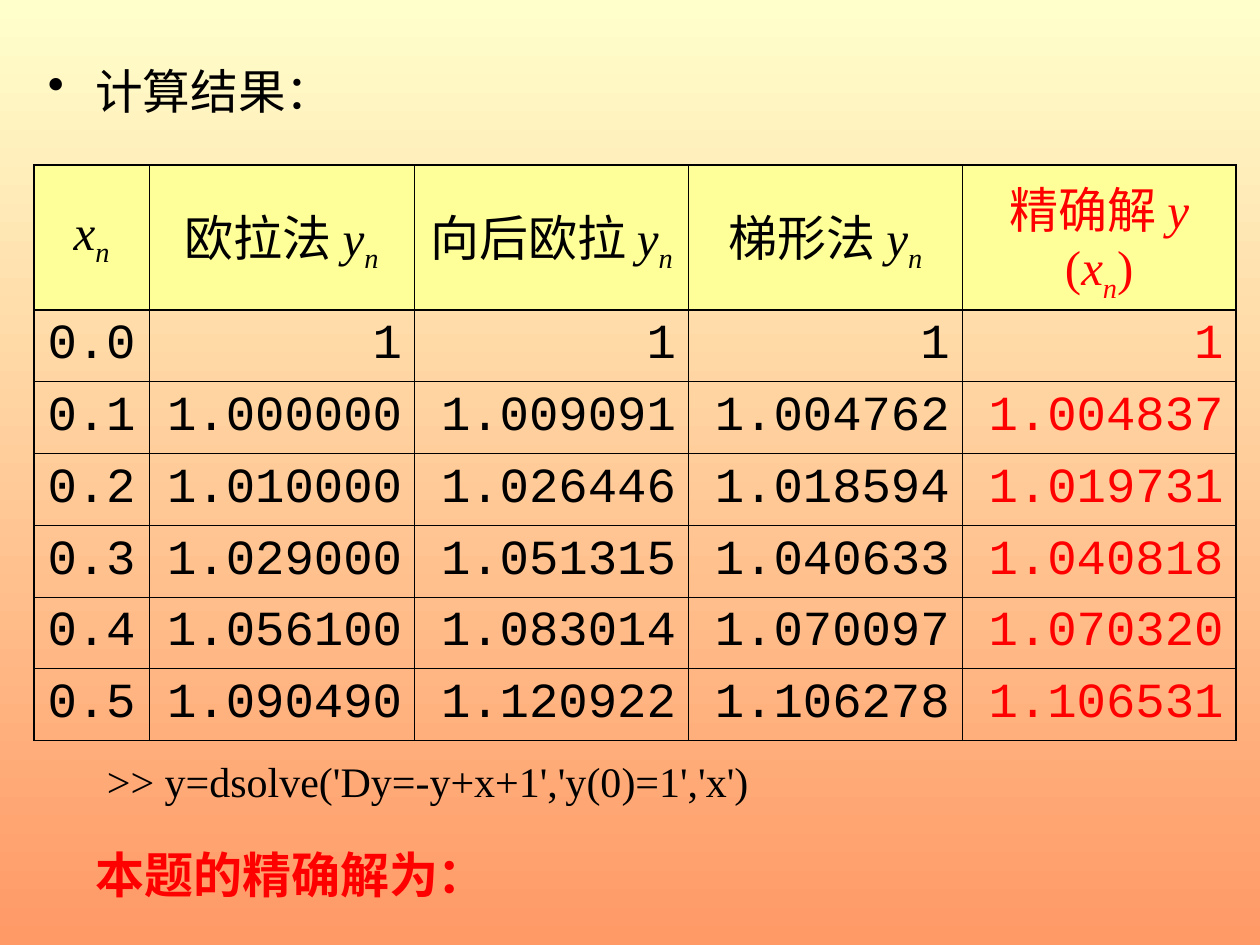
from dataclasses import dataclass

from lxml import etree
from pptx import Presentation
from pptx.dml.color import RGBColor
from pptx.enum.text import MSO_ANCHOR, PP_ALIGN
from pptx.oxml.ns import qn
from pptx.util import Pt

CENTER, RIGHT, LEFT = PP_ALIGN.CENTER, PP_ALIGN.RIGHT, PP_ALIGN.LEFT
MIDDLE = MSO_ANCHOR.MIDDLE


@dataclass(frozen=True)
class Theme:
    ink: str = "000000"
    accent: str = "FF0000"
    header_fill: str = "FFFF99"
    sky: str = "FFFFCC"
    ground: str = "FF9966"
    serif: str = "Times New Roman"
    mono: str = "Courier New"
    heading_size: float = 27.2
    body_size: float = 28
    command_size: float = 24
    thick: float = 1.08
    thin: float = 0.45


@dataclass(frozen=True)
class Span:
    text: str
    italic: bool = False
    subscript: bool = False


@dataclass(frozen=True)
class Caption:
    text: str
    left: float
    top: float
    width: float
    height: float
    size: float
    color: str
    bold: bool = False
    wrap: bool = True
    bullet: bool = False


THEME = Theme()
Y, X, N = Span("y", True), Span("x", True), Span("n", True, True)
HEADERS = [
    [X, N],
    [Span("欧拉法 "), Y, N],
    [Span("向后欧拉 "), Y, N],
    [Span("梯形法 "), Y, N],
    [Span("精确解 "), Span("y ", True), Span("("), X, N, Span(")")],
]
RESULTS = [
    ["0.0", "1", "1", "1", "1"],
    ["0.1", "1.000000", "1.009091", "1.004762", "1.004837"],
    ["0.2", "1.010000", "1.026446", "1.018594", "1.019731"],
    ["0.3", "1.029000", "1.051315", "1.040633", "1.040818"],
    ["0.4", "1.056100", "1.083014", "1.070097", "1.070320"],
    ["0.5", "1.090490", "1.120922", "1.106278", "1.106531"],
]
COLUMN_WIDTHS = [65.5, 151.9, 156.5, 156.5, 156.5]
HEADER_HEIGHT, RESULT_HEIGHT = 82.8, 41.04
TABLE_LEFT, TABLE_TOP = 19.6, 94.3
CAPTIONS = [
    Caption("计算结果：", 20.2, 31.7, 680.4, 42.5, THEME.heading_size, THEME.ink, bullet=True),
    Caption("本题的精确解为：", 47.5, 478.8, 237.6, 41, THEME.body_size, THEME.accent,
            bold=True, wrap=False),
    Caption(">> y=dsolve('Dy=-y+x+1','y(0)=1','x')", 54, 428.4, 391, 36,
            THEME.command_size, THEME.ink),
]


def add_span(paragraph, span: Span, face: str, size: float, color: str, bold: bool = False) -> None:
    run = paragraph.add_run()
    run.text = span.text
    font = run.font
    font.name, font.size = face, Pt(size)
    font.bold, font.italic = bold, span.italic
    font.color.rgb = RGBColor.from_string(color)
    if span.subscript:
        run._r.get_or_add_rPr().set("baseline", "-25000")


def add_bullet(paragraph) -> None:
    properties = paragraph._p.get_or_add_pPr()
    properties.set("marL", str(Pt(27)))
    properties.set("indent", str(-Pt(27)))
    etree.SubElement(properties, qn("a:buChar"), char="•")


def add_caption(slide, caption: Caption) -> None:
    box = slide.shapes.add_textbox(Pt(caption.left), Pt(caption.top),
                                   Pt(caption.width), Pt(caption.height))
    box.text_frame.word_wrap = caption.wrap
    paragraph = box.text_frame.paragraphs[0]
    paragraph.alignment = LEFT
    if caption.bullet:
        add_bullet(paragraph)
    add_span(paragraph, Span(caption.text), THEME.serif, caption.size, caption.color, caption.bold)


def set_borders(cell, widths: dict[str, float]) -> None:
    properties = cell._tc.get_or_add_tcPr()
    for edge, width in widths.items():
        line = etree.SubElement(properties, qn(f"a:{edge}"), w=str(Pt(width)))
        fill = etree.SubElement(line, qn("a:solidFill"))
        etree.SubElement(fill, qn("a:srgbClr"), val=THEME.ink)


def fill_cell(cell, spans: list[Span], row: int, column: int) -> None:
    is_header = row == 0
    is_exact = column == len(HEADERS) - 1

    def weight(outer: bool) -> float:
        return THEME.thick if outer else THEME.thin

    set_borders(cell, {
        "lnL": weight(column == 0),
        "lnR": weight(is_exact),
        "lnT": weight(row <= 1),
        "lnB": weight(row in (0, len(RESULTS))),
    })
    if is_header:
        cell.fill.solid()
        cell.fill.fore_color.rgb = RGBColor.from_string(THEME.header_fill)
    else:
        cell.fill.background()
    cell.vertical_anchor = MIDDLE
    paragraph = cell.text_frame.paragraphs[0]
    paragraph.alignment = CENTER if is_header or column == 0 else RIGHT
    for span in spans:
        add_span(paragraph, span, THEME.serif if is_header else THEME.mono,
                 THEME.body_size, THEME.accent if is_exact else THEME.ink)


def add_results_table(slide) -> None:
    rows = [HEADERS] + [[[Span(value)] for value in result] for result in RESULTS]
    heights = [HEADER_HEIGHT] + [RESULT_HEIGHT] * len(RESULTS)
    table = slide.shapes.add_table(len(rows), len(HEADERS), Pt(TABLE_LEFT), Pt(TABLE_TOP),
                                   Pt(sum(COLUMN_WIDTHS)), Pt(sum(heights))).table
    table.first_row = table.horz_banding = False
    for column, width in zip(table.columns, COLUMN_WIDTHS):
        column.width = Pt(width)
    for row_index, (cells, height) in enumerate(zip(rows, heights)):
        table.rows[row_index].height = Pt(height)
        for column_index, spans in enumerate(cells):
            fill_cell(table.cell(row_index, column_index), spans, row_index, column_index)


def paint_background(slide) -> None:
    fill = slide.background.fill
    fill.gradient()
    fill.gradient_angle = 270
    for stop, color, position in zip(fill.gradient_stops, (THEME.sky, THEME.ground), (0, 1)):
        stop.color.rgb = RGBColor.from_string(color)
        stop.position = position


def main() -> None:
    deck = Presentation()
    deck.slide_width, deck.slide_height = Pt(720), Pt(540)
    slide = deck.slides.add_slide(deck.slide_layouts[6])
    paint_background(slide)
    heading, *notes = CAPTIONS
    add_caption(slide, heading)
    add_results_table(slide)
    for note in notes:
        add_caption(slide, note)
    deck.save("out.pptx")


if __name__ == "__main__":
    main()
